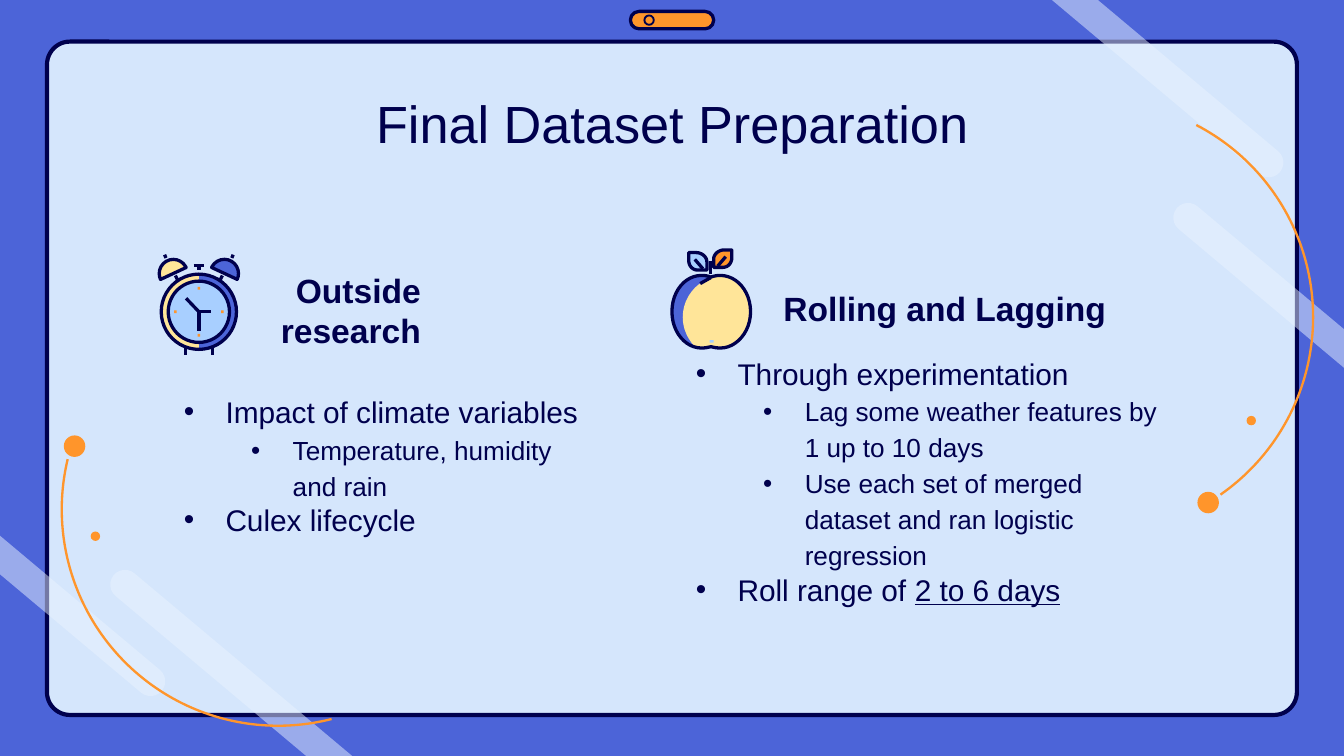
import math
from dataclasses import dataclass

import lxml.etree
import pptx
import pptx.dml.color
import pptx.enum.shapes
import pptx.enum.text
import pptx.oxml.ns
import pptx.util

SHAPE = pptx.enum.shapes.MSO_SHAPE
ALIGN = pptx.enum.text.PP_ALIGN
ANCHOR = pptx.enum.text.MSO_ANCHOR
qn = pptx.oxml.ns.qn


@dataclass(frozen=True)
class Theme:
    font: str = "Arial"
    ink: str = "00004D"
    blue: str = "4C64D8"
    panel: str = "D5E6FC"
    beam: str = "E9F3FF"
    orange: str = "FF952B"
    cream: str = "FFE599"
    sky: str = "A8CFFF"
    title: int = 28
    heading: int = 18
    body: tuple = (16, 14)
    frame: float = 2.25
    outline: float = 1.75
    orbit: float = 1.25


THEME = Theme()


@dataclass(frozen=True)
class Box:
    left: float
    top: float
    width: float
    height: float
    cols: float
    rows: float

    def point(self, x, y):
        return (pptx.util.Inches(self.left + x * self.width / self.cols),
                pptx.util.Inches(self.top + y * self.height / self.rows))

    def area(self, x, y, w, h):
        return (*self.point(x, y), pptx.util.Inches(w * self.width / self.cols),
                pptx.util.Inches(h * self.height / self.rows))

    def sub(self, x, y, w, h, cols, rows):
        left, top, width, height = (v.inches for v in self.area(x, y, w, h))
        return Box(left, top, width, height, cols, rows)


def rgb(value):
    return pptx.dml.color.RGBColor.from_string(value)


def assign(target, values):
    for key, value in values.items():
        setattr(target, key, value)


def paint(shape, fill=None, line=None, width=THEME.outline, alpha=None):
    shape.shadow.inherit = False
    for part, color in ((shape.fill, fill), (shape.line.fill, line)):
        if color:
            part.solid()
            part.fore_color.rgb = rgb(color)
        else:
            part.background()
    if line:
        shape.line.width = pptx.util.Pt(width)
    if alpha:
        color = shape._element.spPr.find(qn("a:solidFill"))[0]
        lxml.etree.SubElement(color, qn("a:alpha"), val=str(alpha * 1000))


def preset(slide, box, kind, area, adjustments=(), **look):
    shape = slide.shapes.add_shape(kind, *box.area(*area))
    for index, value in enumerate(adjustments):
        shape.adjustments[index] = value
    paint(shape, **look)


def circle(slide, box, x, y, radius, kind=SHAPE.OVAL, angles=(), **look):
    preset(slide, box, kind, (x - radius, y - radius, 2 * radius, 2 * radius),
           [angle % 360 * 0.6 for angle in angles], **look)


def outline(slide, box, steps, **look):
    points = [steps[0]]
    for step in steps[1:]:
        if len(step) == 2:
            points.append(step)
            continue
        ends = [points[-1], step[:2], step[2:4], step[4:]]
        for t in (n / 12 for n in range(1, 13)):
            weights = ((1 - t) ** 3, 3 * t * (1 - t) ** 2, 3 * t * t * (1 - t), t ** 3)
            points.append(tuple(sum(w * p[axis] for w, p in zip(weights, ends)) for axis in (0, 1)))
    corners = [box.point(*point) for point in points]
    builder = slide.shapes.build_freeform(*corners[0])
    builder.add_line_segments(corners[1:], close=True)
    paint(builder.convert_to_shape(), **look)


def stroke(slide, box, *ends):
    for start, end in zip(ends, ends[1:]):
        line = slide.shapes.add_connector(pptx.enum.shapes.MSO_CONNECTOR.STRAIGHT,
                                          *box.point(*start), *box.point(*end))
        line.line.color.rgb = rgb(THEME.ink)
        line.line.width = pptx.util.Pt(THEME.outline)
        lxml.etree.SubElement(line._element.spPr, qn("a:effectLst"))


def beam(slide, box, x, y, heading, radius=1.1):
    cap = [(x + radius * math.cos(math.radians(heading + turn)),
            y + radius * math.sin(math.radians(heading + turn))) for turn in range(-90, 91, 15)]
    dx, dy = -math.cos(math.radians(heading)), -math.sin(math.radians(heading))

    def to_edge(px, py):
        reach = min(((box.cols if dx > 0 else 0) - px) / dx, ((box.rows if dy > 0 else 0) - py) / dy)
        return px + reach * dx, py + reach * dy

    outline(slide, box, [to_edge(*cap[0]), *cap, to_edge(*cap[-1])], fill=THEME.beam, alpha=50)


def orbit(slide, box, center, angles, dots):
    circle(slide, box, *center, 16.1, SHAPE.ARC, angles, line=THEME.orange, width=THEME.orbit)
    for x, y, radius in dots:
        circle(slide, box, x, y, radius, fill=THEME.orange)


def backdrop(slide, box):
    preset(slide, box, SHAPE.ROUNDED_RECTANGLE, (3.5, 3.1, 93, 50.1), [0.034],
           fill=THEME.panel, line=THEME.ink, width=THEME.frame)
    for x, y, heading in ((94.4, 12.1, 40), (9.3, 43.5, 220), (11.2, 50.7, 40), (88.4, 16.2, 220)):
        beam(slide, box, x, y, heading)
    preset(slide, box, SHAPE.ROUNDED_RECTANGLE, (46.9, 0.85, 6.2, 1.3), [0.5],
           fill=THEME.orange, line=THEME.ink, width=THEME.outline)
    circle(slide, box, 48.3, 1.5, 0.35, line=THEME.ink, width=1)
    orbit(slide, box, (81.6, 23.6), (-62.6, 55.1), ((93.1, 31.3, 0.35), (89.9, 37.4, 0.8)))
    orbit(slide, box, (20.7, 37.9), (75.7, 193.4), ((7.1, 39.9, 0.35), (5.55, 33.2, 0.8)))


def clock(slide, box):
    ink = {"line": THEME.ink}
    for side, bell in ((-1, THEME.cream), (1, THEME.blue)):
        def mirror(x, y):
            return 32 + side * x, y
        angles = (155, 335) if side < 0 else (205, 25)
        circle(slide, box, *mirror(19, 14.5), 10.5, SHAPE.CHORD, angles, fill=bell, **ink)
        for ends in (((25.5, 0.5), (24.5, 3)), ((17.5, 16), (15.5, 20)), ((10, 68), (10, 75))):
            stroke(slide, box, *(mirror(*end) for end in ends))
    circle(slide, box, 32, 43, 28, fill=THEME.blue)
    circle(slide, box, 32, 43, 28, SHAPE.CHORD, (90, 270), fill=THEME.cream)
    circle(slide, box, 32, 43, 28, **ink)
    circle(slide, box, 32, 43, 22.8, fill=THEME.sky, **ink)
    for x, y in ((0, -1), (1, 0), (0, 1), (-1, 0)):
        preset(slide, box, SHAPE.RECTANGLE, (31 + 17.5 * x, 42 + 17.5 * y, 2, 2), fill=THEME.orange)
    stroke(slide, box, (22.5, 33), (32, 43), (32, 57))
    stroke(slide, box, (32, 43), (41, 43))
    stroke(slide, box, (28, 8.5), (36, 8.5))
    stroke(slide, box, (32, 8.5), (32, 12))


def apple(slide, box):
    skin = [(37, 20), (49, 20, 59.5, 31.5, 59.5, 47), (59.5, 62, 49, 74, 37, 74),
            (34.5, 74, 32, 73.5, 30, 73), (28, 73.5, 25.5, 74, 23, 74),
            (11, 74, 1, 62, 1, 47), (1, 31.5, 11, 20, 23, 20),
            (26, 20, 28, 20.5, 30, 21.2), (32, 20.5, 34.5, 20, 37, 20)]
    flesh = [(40, 20), (23, 20, 9, 34, 9, 51), (9, 60, 13, 68, 19, 74), (26, 74), (30, 73),
             (40, 74), (51, 69), (57, 61), (59.5, 49), (58, 37), (51, 25)]
    leaf = [(40, 1), (36, 1, 32, 4, 32, 8), (32, 14), (39, 14),
            (42.5, 14, 45.5, 11, 45.5, 7), (45.5, 1)]
    mirrored = [tuple(v + 2 if i % 2 else 59 - v for i, v in enumerate(step)) for step in leaf]
    outline(slide, box, skin, fill=THEME.blue)
    outline(slide, box, flesh, fill=THEME.cream)
    outline(slide, box, skin, line=THEME.ink)
    outline(slide, box, leaf, fill=THEME.orange, line=THEME.ink)
    outline(slide, box, mirrored, fill=THEME.sky, line=THEME.ink)
    for ends in (((35, 13), (41, 6)), ((24, 15), (18, 8)), ((29.5, 9), (29.5, 19)), ((22, 26), (30, 21.5))):
        stroke(slide, box, *ends)
    preset(slide, box, SHAPE.RECTANGLE, (29, 68, 3, 2), fill=THEME.sky)


def bullet(paragraph, level):
    paragraph.level = level
    if level:
        paragraph.line_spacing = 1.15
    properties = paragraph._p.get_or_add_pPr()
    for key, inches in (("marL", (0.31, 0.81)[level]), ("indent", -0.31)):
        properties.set(key, str(pptx.util.Inches(inches)))
    color = lxml.etree.SubElement(properties, qn("a:buClr"))
    lxml.etree.SubElement(color, qn("a:srgbClr"), val=THEME.ink)
    lxml.etree.SubElement(properties, qn("a:buFont"), typeface=THEME.font)
    lxml.etree.SubElement(properties, qn("a:buChar"), char="•")


def write(slide, box, area, lines, size=None, align=None, anchor=ANCHOR.MIDDLE, bold=False):
    frame = slide.shapes.add_textbox(*box.area(*area)).text_frame
    margins = {f"margin_{side}": pptx.util.Inches(0.1) for side in ("left", "top", "right", "bottom")}
    assign(frame, {"word_wrap": True, "vertical_anchor": anchor, **margins})
    for index, (level, *pieces) in enumerate(lines):
        paragraph = frame.paragraphs[0] if index == 0 else frame.add_paragraph()
        paragraph.alignment = align
        if size is None:
            bullet(paragraph, level)
        for number, piece in enumerate(pieces):
            run = paragraph.add_run()
            run.text = piece
            assign(run.font, {"name": THEME.font, "size": pptx.util.Pt(size or THEME.body[level]),
                              "bold": bold, "underline": number > 0})
            run.font.color.rgb = rgb(THEME.ink)


def topic(slide, box, icon, icon_grid, heading, heading_area, points, points_area):
    x, y, cols, rows = icon_grid
    icon(slide, box.sub(x, y, cols / 10, rows / 10, cols, rows))
    write(slide, box, heading_area, [(0, heading)], THEME.heading, ALIGN.RIGHT, bold=True)
    write(slide, box, points_area, points)


def main():
    deck = pptx.Presentation()
    width, height = 10, 10 * 9 / 16
    assign(deck, {"slide_width": pptx.util.Inches(width), "slide_height": pptx.util.Inches(height)})
    slide = deck.slides.add_slide(deck.slide_layouts[6])
    slide.background.fill.solid()
    slide.background.fill.fore_color.rgb = rgb(THEME.blue)
    page = Box(0, 0, width, height, 10 * width, 10 * height)
    backdrop(slide, page)
    write(slide, page, (7.9, 5.8, 84.2, 6.3), [(0, "Final Dataset Preparation")],
          THEME.title, ALIGN.CENTER, ANCHOR.TOP)
    topic(slide, page.sub(11.6, 18.5, 38, 30, 38, 30), clock, (0, 0.4, 63, 75),
          "Outside research", (5.4, 1.4, 15.3, 6.3),
          [(0, "Impact of climate variables"), (1, "Temperature, humidity and rain"),
           (0, "Culex lifecycle")], (1.1, 9.8, 32.6, 12.7))
    topic(slide, page.sub(49.9, 18.5, 38, 30, 38, 30), apple, (0, 0, 61, 76),
          "Rolling and Lagging", (2.2, 2.2, 31.2, 4.4),
          [(0, "Through experimentation"), (1, "Lag some weather features by 1 up to 10 days"),
           (1, "Use each set of merged dataset and ran logistic regression"),
           (0, "Roll range of ", "2 to 6 days")], (0.9, 7.7, 37.3, 19.2))
    deck.save("out.pptx")


if __name__ == "__main__":
    main()
